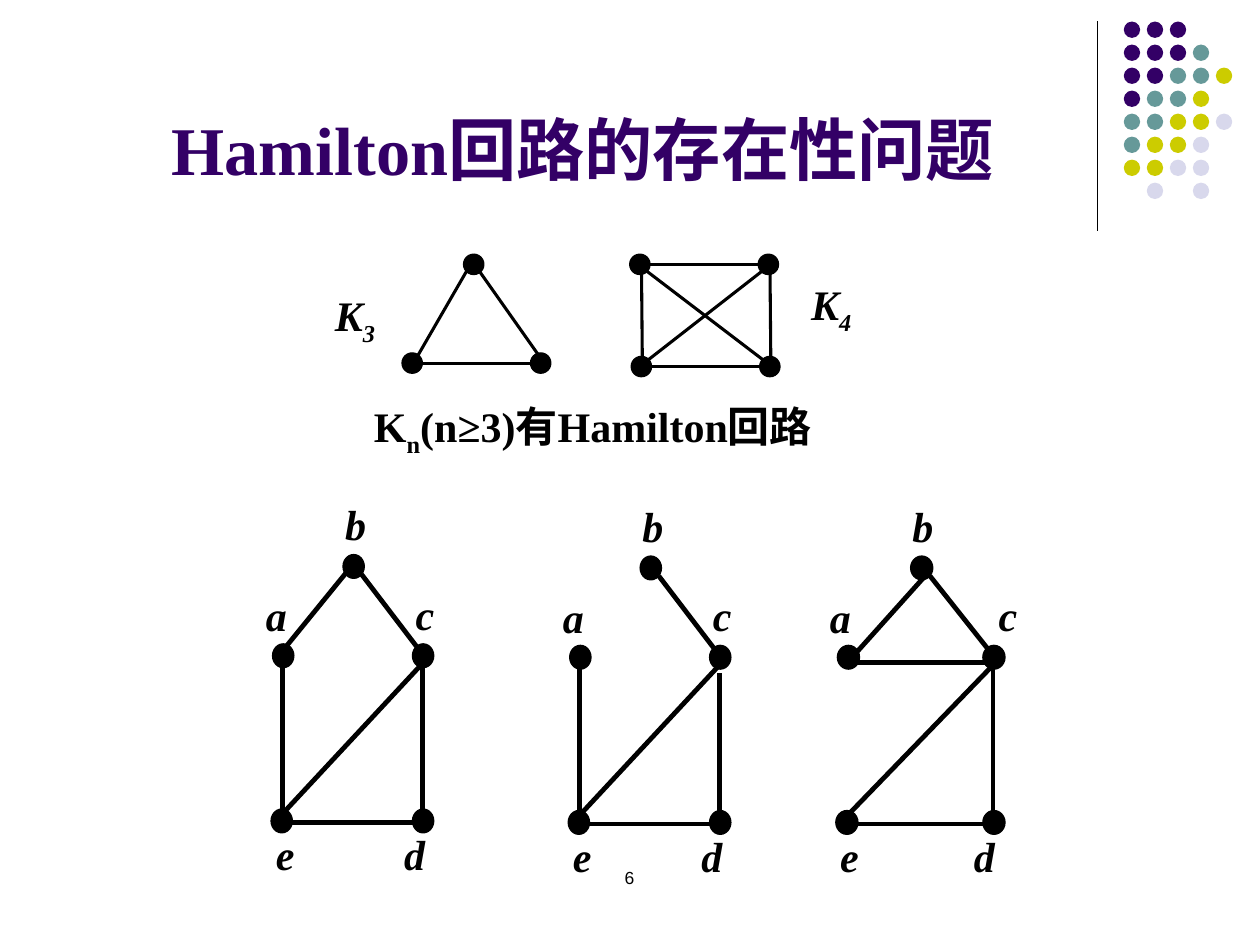
from dataclasses import dataclass, field

from lxml import etree
from pptx import Presentation
from pptx import util as u
from pptx.dml.color import RGBColor
from pptx.enum import shapes, text
from pptx.oxml import ns

Point = tuple[float, float]
Segment = tuple[Point, Point]
SERIF = "Times New Roman"
BLACK = "000000"


@dataclass
class CompleteGraph:
    order: str
    label: Point
    nodes: list[Point]
    edges: list[Segment]


@dataclass
class HouseGraph:
    origin: Point
    edges: str
    stretch: float = 1.0
    moved_edges: dict[str, Segment] = field(default_factory=dict)
    moved_labels: dict[str, Point] = field(default_factory=dict)


# Palette and rows of the corner ornament
DOT_COLORS = {"p": "330066", "t": "669999", "y": "CCCC00", "l": "D8D8EC"}
DOT_ROWS = ["ppp", "pppt", "pptty", "ptty", "ttyyl", "tyyl", "yyll", " l l"]
DOT_PITCH = 0.464

COMPLETE_GRAPHS = [
    CompleteGraph("3", (6.5, 5.72),
                  [(8.31, 7.32), (10.9, 7.32), (9.55, 5.33)],
                  [((8.51, 7.32), (10.69, 7.32)), ((9.6, 5.13), (8.41, 7.19)),
                   ((9.68, 5.49), (10.95, 7.29))]),
    CompleteGraph("4", (16.1, 5.49),
                  [(12.9, 5.33), (15.49, 5.33), (12.93, 7.39), (15.52, 7.39)],
                  [((13.11, 5.33), (15.29, 5.33)), ((15.39, 7.26), (13.03, 5.46)),
                   ((13.13, 7.39), (15.32, 7.39)), ((15.54, 7.39), (15.52, 5.21)),
                   ((12.95, 7.44), (12.93, 5.23)), ((13.06, 7.26), (15.37, 5.46))]),
]

# House graph geometry, relative to each graph's origin
HOUSE_NODES = {"a": (0.6, 3.29), "b": (2.02, 1.49), "c": (3.42, 3.29),
               "d": (3.42, 6.62), "e": (0.57, 6.62)}
HOUSE_LABELS = {"a": (0, 1.83), "b": (1.6, 0), "c": (3.02, 1.8),
                "d": (2.79, 6.65), "e": (0.2, 6.65)}
HOUSE_EDGES = {
    "ab": ((0.66, 3.1), (1.88, 1.6)),
    "bc": ((2.18, 1.65), (3.4, 3.25)),
    "ac": ((0.58, 3.4), (3.3, 3.4)),
    "ce": ((3.4, 3.45), (0.58, 6.48)),
    "cd": ((3.4, 3.45), (3.4, 6.45)),
    "de": ((3.4, 6.65), (0.58, 6.65)),
    "ae": ((0.58, 3.45), (0.58, 6.45)),
}
HOUSES = [
    HouseGraph((5.11, 9.93), "ab ce cd de ae bc"),
    HouseGraph((11.1, 9.96), "ce cd de ae bc",
               moved_edges={"cd": ((3.4, 3.61), (3.4, 6.6))}),
    HouseGraph((16.48, 9.96), "ce cd de ab bc ac", 1.04,
               moved_edges={"ab": ((0.68, 3.28), (2.13, 1.6))},
               moved_labels={"c": (3.27, 1.8)}),
]


def color(value: str) -> RGBColor:
    return RGBColor.from_string(value)


def add_line(s, start: Point, end: Point, width: float) -> None:
    line = s.shapes.add_connector(
        shapes.MSO_CONNECTOR.STRAIGHT, *(u.Cm(v) for v in (*start, *end)))
    line.line.color.rgb = color(BLACK)
    line.line.width = u.Pt(width)
    etree.SubElement(line._element.spPr, ns.qn("a:effectLst"))


def add_dot(s, center: Point, width: float, height: float, fill: str = BLACK,
            outlined: bool = True,
            kind=shapes.MSO_SHAPE.OVAL) -> None:
    left, top = center[0] - width / 2, center[1] - height / 2
    sp = s.shapes.add_shape(kind, u.Cm(left), u.Cm(top), u.Cm(width), u.Cm(height))
    sp.shadow.inherit = False
    sp.fill.solid()
    sp.fill.fore_color.rgb = color(fill)
    if outlined:
        sp.line.color.rgb = color(BLACK)
        sp.line.width = u.Pt(0.75)
    else:
        sp.line.fill.background()


def write(sp, content: str, *, sub: str = "", tail: str = "", size: float = 24,
          font: str = SERIF, ink: str = BLACK, bold: bool = True,
          italic: bool = False, align=text.PP_ALIGN.LEFT,
          anchor=text.MSO_ANCHOR.TOP, spacing: float = 1.0,
          wrap: bool = True) -> None:
    """Write content, then an optional subscript and the text after it."""
    tf = sp.text_frame
    tf.word_wrap = wrap
    tf.vertical_anchor = anchor
    p = tf.paragraphs[0]
    p.alignment = align
    p.line_spacing = spacing
    for part, lowered in ((content, False), (sub, True), (tail, False)):
        if not part:
            continue
        r = p.add_run()
        r.text = part
        r.font.name, r.font.size = font, u.Pt(size)
        r.font.bold, r.font.italic = bold, italic
        r.font.color.rgb = color(ink)
        if lowered:
            r._r.get_or_add_rPr().set("baseline", "-25000")


def add_text(s, left: float, top: float, width: float, height: float,
             content: str, **fmt) -> None:
    box = s.shapes.add_textbox(u.Cm(left), u.Cm(top), u.Cm(width), u.Cm(height))
    write(box, content, **fmt)


def draw_complete(s, graph: CompleteGraph) -> None:
    for node in graph.nodes:
        add_dot(s, node, 0.41, 0.41, kind=shapes.MSO_SHAPE.FLOWCHART_CONNECTOR)
    for start, end in graph.edges:
        add_line(s, start, end, 1.75)
    sp = s.shapes.add_shape(
        shapes.MSO_SHAPE.RECTANGULAR_CALLOUT,
        *(u.Cm(v) for v in (*graph.label, 2.01, 1.4)))
    sp.shadow.inherit = False
    sp.fill.background()
    sp.line.fill.background()
    write(sp, "K", sub=graph.order, italic=True, wrap=False)


def draw_house(s, house: HouseGraph) -> None:
    def place(point: Point) -> Point:
        return (house.origin[0] + point[0] * house.stretch,
                house.origin[1] + point[1])

    edges = HOUSE_EDGES | house.moved_edges
    for name in house.edges.split():
        start, end = edges[name]
        add_line(s, place(start), place(end), 2.75)
    for node in HOUSE_NODES.values():
        add_dot(s, place(node), 0.43 * house.stretch, 0.48)
    for name, corner in (HOUSE_LABELS | house.moved_labels).items():
        add_text(s, *place(corner), 0.99 * house.stretch, 1.27, name, italic=True)


def main() -> None:
    prs = Presentation()
    prs.slide_width, prs.slide_height = u.Cm(25.4), u.Cm(19.05)
    s = prs.slides.add_slide(prs.slide_layouts[6])

    # Corner ornament
    add_line(s, (22.12, 0.43), (22.12, 4.65), 0.75)
    for row, marks in enumerate(DOT_ROWS):
        for col, mark in enumerate(marks):
            if mark in DOT_COLORS:
                center = (22.82 + col * DOT_PITCH, 0.6 + row * DOT_PITCH)
                add_dot(s, center, 0.33, 0.33, DOT_COLORS[mark], outlined=False)

    # Title and statement
    add_text(s, 1.27, 0.33, 20.96, 3.61, "Hamilton回路的存在性问题", size=39,
             ink="330066", align=text.PP_ALIGN.CENTER,
             anchor=text.MSO_ANCHOR.BOTTOM)
    add_text(s, 7.29, 7.72, 10.01, 1.8, "K", sub="n",
             tail="(n≥3)有Hamilton回路", spacing=1.2)

    # Graphs
    for house in HOUSES:
        draw_house(s, house)
    for graph in COMPLETE_GRAPHS:
        draw_complete(s, graph)

    # Page number
    add_text(s, 9.73, 17.35, 5.92, 1.27, "6", size=10, font="Arial",
             bold=False, align=text.PP_ALIGN.CENTER)
    prs.save("out.pptx")


if __name__ == "__main__":
    main()
